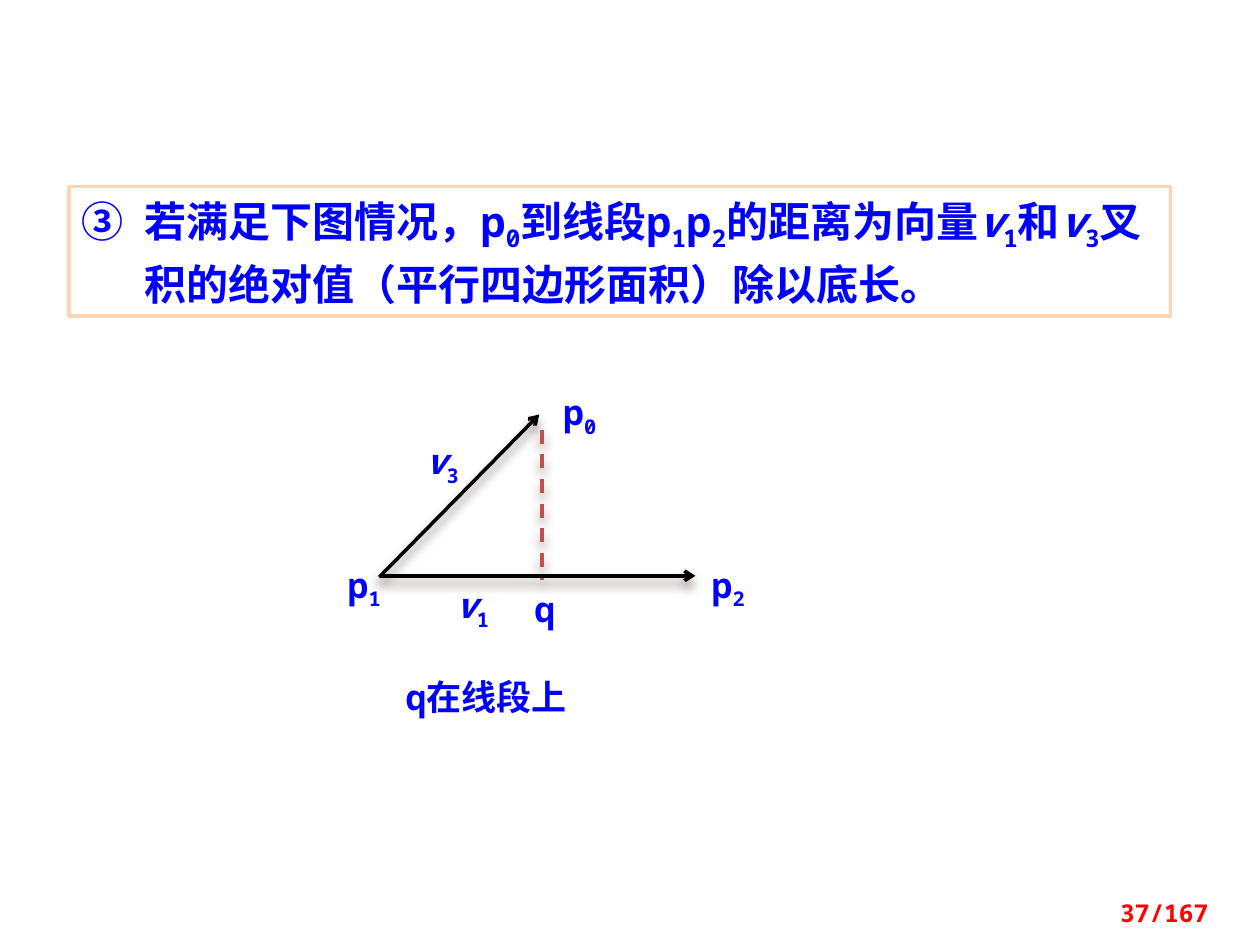
"""Build the slide on the distance from a point to a line segment."""
from lxml import etree
from pptx import Presentation
from pptx.dml.color import RGBColor
from pptx.enum.dml import MSO_LINE
from pptx.enum.lang import MSO_LANGUAGE_ID
from pptx.enum.shapes import MSO_CONNECTOR, MSO_SHAPE
from pptx.enum.text import MSO_ANCHOR, MSO_AUTO_SIZE, PP_ALIGN
from pptx.oxml import parse_xml
from pptx.oxml.ns import nsdecls, qn
from pptx.util import Pt

PX = 9144
STRAIGHT = MSO_CONNECTOR.STRAIGHT
RECTANGLE = MSO_SHAPE.RECTANGLE
DASH = MSO_LINE.DASH
TOP = MSO_ANCHOR.TOP
GROW = MSO_AUTO_SIZE.SHAPE_TO_FIT_TEXT
LEFT, RIGHT = PP_ALIGN.LEFT, PP_ALIGN.RIGHT
CHINESE = MSO_LANGUAGE_ID.SIMPLIFIED_CHINESE
THEME = {
    "font": "Noto Sans Mono",
    "text": RGBColor.from_string("0000FF"),
    "number": RGBColor.from_string("FF0000"),
    "paper": RGBColor.from_string("FFFFFF"),
    "border": RGBColor.from_string("FCD5B5"),
    "vector": RGBColor.from_string("000000"),
    "height": RGBColor.from_string("C0504D"),
    "statement": Pt(24),
    "label": Pt(20),
    "page": Pt(14),
    "line": Pt(2),
}
SHADOW = (
    f'<a:effectLst {nsdecls("a")}><a:outerShdw blurRad="76200" dist="50800" '
    'dir="5400000" rotWithShape="0"><a:srgbClr val="4E3B30"><a:alpha val="60000"/>'
    '</a:srgbClr></a:outerShdw></a:effectLst>'
)


def add_runs(p, parts, size, color):
    for text, style in parts:
        r = p.add_run()
        r.text = text
        r.font.name = THEME["font"]
        r.font.size = size
        r.font.bold = True
        r.font.italic = style == "italic"
        r.font.color.rgb = color
        r.font.language_id = CHINESE
        if style == "sub":
            r.font._element.set("baseline", "-25000")


def add_text(shapes, x, y, w, h, parts, size, color):
    sp = shapes.add_textbox(x * PX, y * PX, w * PX, h * PX)
    sp.text_frame.word_wrap = True
    add_runs(sp.text_frame.paragraphs[0], parts, size, color)
    return sp


prs = Presentation()
prs.slide_width, prs.slide_height = 1000 * PX, 750 * PX
s = prs.slides.add_slide(prs.slide_layouts[6])

sp = s.shapes.add_shape(RECTANGLE, 55 * PX, 148 * PX, 874 * PX, 103 * PX)
sp.shadow.inherit = False
sp.fill.solid()
sp.fill.fore_color.rgb = THEME["paper"]
sp.line.color.rgb = THEME["border"]
sp.line.width = THEME["line"]
tf = sp.text_frame
tf.word_wrap = True
tf.auto_size = GROW
tf.vertical_anchor = TOP
tf.margin_left = tf.margin_right = 10 * PX
tf.margin_top = tf.margin_bottom = 8 * PX
p = tf.paragraphs[0]
p.alignment = LEFT
p.line_spacing = Pt(32)
pPr = p._p.get_or_add_pPr()
pPr.set("marL", str(50 * PX))
pPr.set("indent", str(-50 * PX))
etree.SubElement(pPr, qn("a:buFont"), typeface="+mj-ea")
etree.SubElement(pPr, qn("a:buAutoNum"), type="circleNumDbPlain", startAt="3")
statement = [
    ("若满足下图情况，p", ""), ("0", "sub"), ("到线段p", ""), ("1", "sub"),
    ("p", ""), ("2", "sub"), ("的距离为向量", ""), ("v", "italic"), ("1", "sub"),
    ("和", ""), ("v", "italic"), ("3", "sub"),
    ("叉积的绝对值（平行四边形面积）除以底长。", ""),
]
add_runs(p, statement, THEME["statement"], THEME["text"])

figure = s.shapes.add_group_shape().shapes
lines = [
    (301, 458, 428, 329, "vector"),
    (302, 457, 552, 457, "vector"),
    (430, 341, 430, 460, "height"),
]
for x1, y1, x2, y2, role in lines:
    line = figure.add_connector(STRAIGHT, x1 * PX, y1 * PX, x2 * PX, y2 * PX)
    line.line.color.rgb = THEME[role]
    line.line.width = THEME["line"]
    if role == "height":
        line.line.dash_style = DASH
    else:
        etree.SubElement(line.line._get_or_add_ln(), qn("a:tailEnd"), type="arrow")
    line._element.spPr.append(parse_xml(SHADOW))

labels = [
    (266, 442, 55, [("p", ""), ("1", "sub")]),
    (555, 442, 55, [("p", ""), ("2", "sub")]),
    (437, 305, 55, [("p", ""), ("0", "sub")]),
    (328, 344, 47, [("v", "italic"), ("3", "sub")]),
    (352, 458, 47, [("v", "italic"), ("1", "sub")]),
    (414, 461, 39, [("q", "")]),
    (312, 531, 164, [("q在线段上", "")]),
]
for x, y, w, parts in labels:
    sp = add_text(figure, x, y, w, 44, parts, THEME["label"], THEME["text"])
    sp.text_frame.auto_size = GROW

sp = add_text(s.shapes, 852, 708, 117, 26, [("37/167", "")], THEME["page"], THEME["number"])
sp.text_frame.paragraphs[0].alignment = RIGHT

prs.save("out.pptx")
